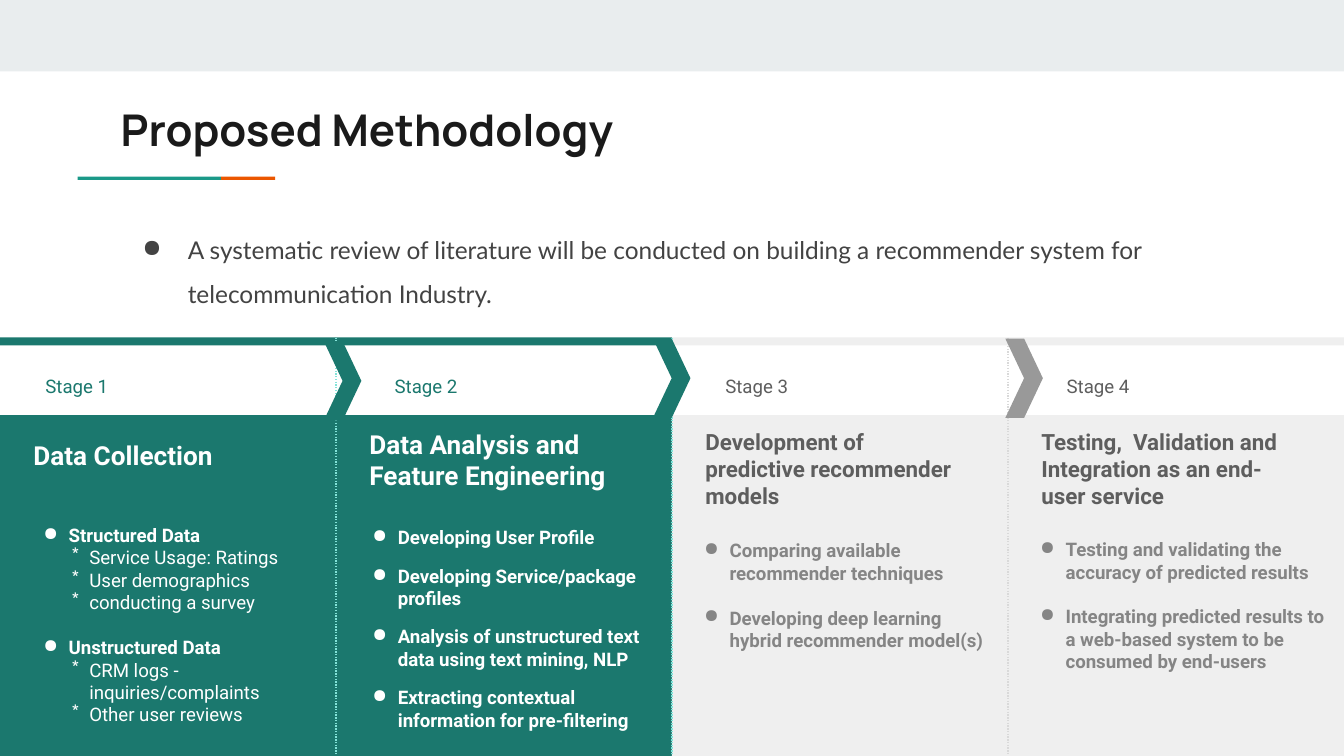
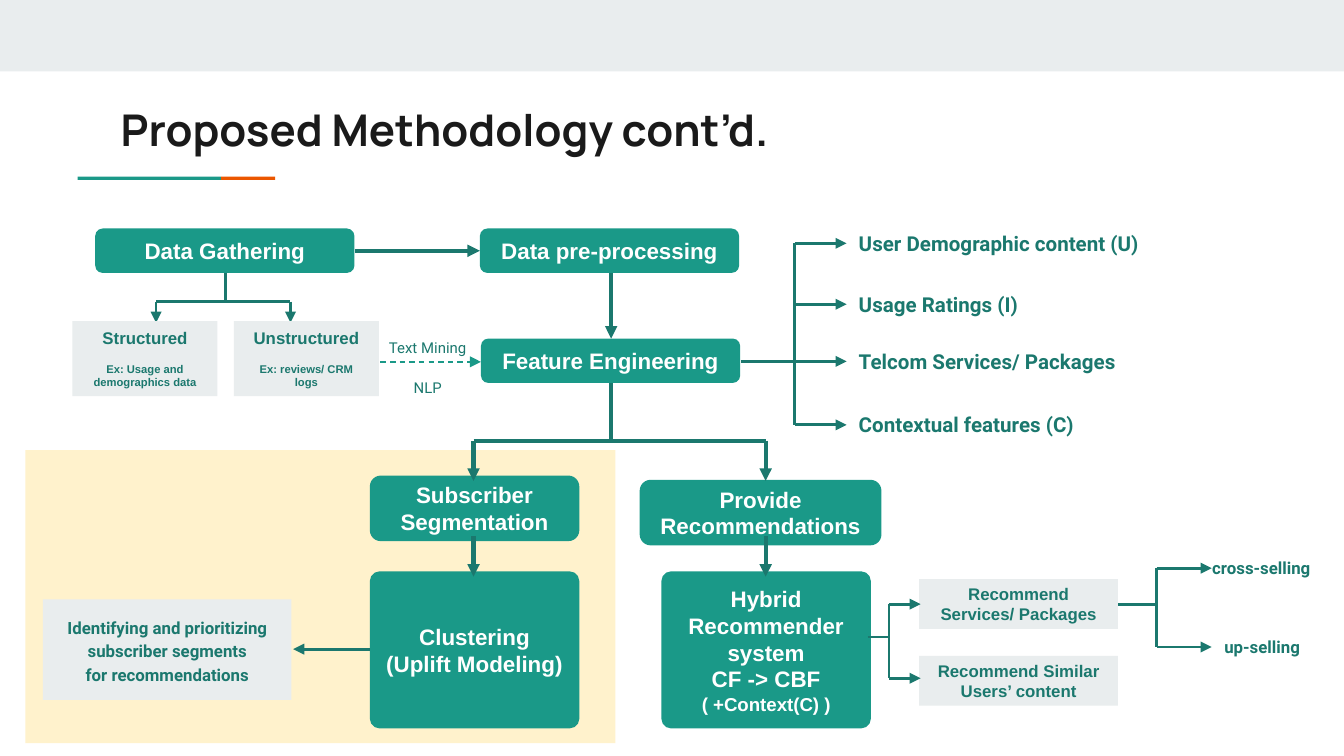
from dataclasses import dataclass, replace

from lxml.etree import SubElement
from pptx import Presentation
from pptx.dml.color import RGBColor
from pptx.enum.dml import MSO_LINE_DASH_STYLE as Dash
from pptx.enum.shapes import MSO_CONNECTOR_TYPE as Link
from pptx.enum.shapes import MSO_SHAPE as Preset
from pptx.enum.text import MSO_AUTO_SIZE as Fit
from pptx.enum.text import MSO_VERTICAL_ANCHOR as Anchor
from pptx.enum.text import PP_PARAGRAPH_ALIGNMENT as Align
from pptx.oxml.ns import qn
from pptx.util import Cm, Pt

WIDTH, HEIGHT = 25.4, 14.29
STAGE_WIDTH = WIDTH / 4
BAND, TEAL, ORANGE, DEEP = "E9EDEE", "1A9988", "EB5600", "1B786E"
WHITE, PALE, GREY, DARK_GREY, SOFT_GREY = "FFFFFF", "EFEFEF", "999999", "5E5E5E", "858585"
CREAM, MINT, RULE, INK, CHARCOAL = "FFF2CC", "83E3D9", "D9D9D9", "1A1A1A", "434343"


@dataclass(frozen=True)
class Style:
    font: str
    size: float
    color: str
    bold: bool = False
    align: Align = Align.LEFT
    spacing: float | None = None
    after: float = 0
    bullet: str = ""
    margin: float = 0
    hang: float = 0


TITLE = Style("Manrope", 23.4, INK, True)
BODY = Style("Lato", 13.1, CHARCOAL, spacing=1.5, bullet="●", margin=1.27, hang=0.86)
STAGE = Style("Roboto", 10, DEEP, spacing=1.15)
HEADING = Style("Roboto", 14, WHITE, True)
ITEM = Style("Roboto", 10, WHITE, True, bullet="●", margin=0.64, hang=0.48)
SUBITEM = replace(ITEM, bold=False, bullet="*", margin=1.03, hang=0.33)
SPACED_ITEM = replace(ITEM, after=8.5)
GREY_ITEM = replace(ITEM, color=SOFT_GREY, after=12)
NODE = Style("Arial", 12, WHITE, True, Align.CENTER)
SMALL_NODE = replace(NODE, size=10)
CARD = replace(NODE, size=9, color=DEEP)
CARD_HEAD = replace(CARD, after=7.5)
CARD_NOTE = replace(CARD, size=6)
FEATURE = Style("Roboto", 11, DEEP, True)
OUTCOME = replace(FEATURE, size=9)
FINDING = replace(OUTCOME, align=Align.CENTER, spacing=1.15)
FLOW_TEXT = Style("Roboto", 8, DEEP, align=Align.CENTER, after=12)


def rgb(value):
    return RGBColor.from_string(value)


def assign(target, values):
    for name, value in values.items():
        setattr(target, name, value)


def add_bullet(para, style):
    properties = para._p.get_or_add_pPr()
    properties.set("marL", str(Cm(style.margin)))
    properties.set("indent", str(-Cm(style.hang)))
    SubElement(properties, qn("a:buChar")).set("char", style.bullet)


def write(frame, lines, anchor):
    assign(frame, {"word_wrap": True, "auto_size": Fit.NONE, "vertical_anchor": anchor})
    assign(frame, {f"margin_{side}": Cm(0.25) for side in ("left", "right", "top", "bottom")})
    for number, (style, text) in enumerate(lines):
        para = frame.paragraphs[0] if number == 0 else frame.add_paragraph()
        after = style.after if number < len(lines) - 1 else 0
        assign(para, {"alignment": style.align, "line_spacing": style.spacing,
                      "space_after": Pt(after)})
        if style.bullet:
            add_bullet(para, style)
        span = para.add_run()
        span.text = text
        assign(span.font, {"name": style.font, "size": Pt(style.size), "bold": style.bold})
        span.font.color.rgb = rgb(style.color)


def add_label(page, at, *lines, anchor=Anchor.TOP):
    box = page.shapes.add_textbox(*map(Cm, at))
    write(box.text_frame, lines, anchor)


def add_block(page, at, fill, *lines, preset=Preset.RECTANGLE, bend=None):
    block = page.shapes.add_shape(preset, *map(Cm, at))
    block.shadow.inherit = False
    block.fill.solid()
    block.fill.fore_color.rgb = rgb(fill)
    block.line.fill.background()
    if bend is not None:
        block.adjustments[0] = bend
    if lines:
        write(block.text_frame, lines, Anchor.MIDDLE)


def add_node(page, at, *lines, bend=0.167):
    add_block(page, at, TEAL, *lines, preset=Preset.ROUNDED_RECTANGLE, bend=bend)


def add_line(page, start, end, color=DEEP, width=1.5, dash=None, arrow=False):
    line = page.shapes.add_connector(Link.STRAIGHT, *map(Cm, (*start, *end)))
    line.line.color.rgb = rgb(color)
    assign(line.line, {"width": Pt(width), "dash_style": dash})
    if arrow:
        SubElement(line.line._get_or_add_ln(), qn("a:tailEnd")).set("type", "triangle")
    SubElement(line._element.spPr, qn("a:effectLst"))


def add_fork(page, start, bend, branches, end, width=1.5, down=False):
    def draw(first, second, arrow=False):
        if down:
            first, second = first[::-1], second[::-1]
        add_line(page, first, second, width=width, arrow=arrow)

    draw(start, (bend, start[1]))
    draw((bend, min(branches)), (bend, max(branches)))
    for branch in branches:
        draw((bend, branch), (end, branch), True)


def add_page(deck, title):
    page = deck.slides.add_slide(deck.slide_layouts[5])
    add_block(page, (0, 0, WIDTH, 1.35), BAND)
    add_block(page, (1.47, 3.34, 2.71, 0.06), TEAL)
    add_block(page, (4.18, 3.34, 1.02, 0.06), ORANGE)
    holder = page.shapes.title
    assign(holder, {"left": Cm(2.03), "top": Cm(1.68), "width": Cm(21.36), "height": Cm(1.5)})
    write(holder.text_frame, [(TITLE, title)], Anchor.MIDDLE)
    return page


def add_stage(page, number, fill, color, label_left, heading, heading_style, heading_top=7.85):
    left = number * STAGE_WIDTH
    add_block(page, (left, 7.85, STAGE_WIDTH, HEIGHT - 7.85), fill)
    add_block(page, (left, 6.38, STAGE_WIDTH, 0.15), fill)
    add_label(page, (label_left, 6.78, 2.41, 0.71),
              (replace(STAGE, color=color), f"Stage {number + 1}"))
    add_label(page, (left + 0.38, heading_top, 5.16, 2.21), (heading_style, heading))


def build_stages(deck):
    page = add_page(deck, "Proposed Methodology")
    add_label(page, (2.03, 3.91, 22.33, 2.46),
              (BODY, "A systematic review of literature will be conducted on building "
                     "a recommender system for telecommunication Industry."))

    grey_heading = replace(HEADING, size=12, color=DARK_GREY)
    add_stage(page, 0, DEEP, DEEP, 0.61, "Data Collection", HEADING, 8.05)
    add_stage(page, 1, DEEP, DEEP, 7.21, "Data Analysis and Feature Engineering", HEADING)
    add_stage(page, 2, PALE, DARK_GREY, 13.46,
              "Development of predictive recommender models", grey_heading)
    add_stage(page, 3, PALE, DARK_GREY, 19.91,
              "Testing,  Validation and Integration as an end-user service", grey_heading)

    for number, color in enumerate((MINT, MINT, RULE), 1):
        x = number * STAGE_WIDTH
        add_line(page, (x, 6.38), (x, 14.25), color, 0.75, Dash.ROUND_DOT)
    for left, top, fill in ((6.12, 6.45, DEEP), (12.34, 6.4, DEEP), (19, 6.4, GREY)):
        add_block(page, (left, top, 0.71, 1.5), fill, preset=Preset.CHEVRON, bend=0.5)

    add_label(page, (0.41, 9.7, 5.38, 4.22),
              (ITEM, "Structured Data"),
              (SUBITEM, "Service Usage: Ratings"),
              (SUBITEM, "User demographics"),
              (replace(SUBITEM, after=12), "conducting a survey"),
              (ITEM, "Unstructured Data"),
              (SUBITEM, "CRM logs - inquiries/complaints"),
              (SUBITEM, "Other user reviews"), anchor=Anchor.MIDDLE)
    add_label(page, (6.63, 9.86, 5.99, 4.04),
              (SPACED_ITEM, "Developing User Profile"),
              (SPACED_ITEM, "Developing Service/package profiles"),
              (SPACED_ITEM, "Analysis of unstructured text data using text mining, NLP"),
              (SPACED_ITEM, "Extracting contextual information for pre-filtering"),
              anchor=Anchor.MIDDLE)
    add_label(page, (12.9, 9.63, 6.15, 3.24),
              (GREY_ITEM, "Comparing available recommender techniques"),
              (GREY_ITEM, "Developing deep learning hybrid recommender model(s)"),
              anchor=Anchor.MIDDLE)
    add_label(page, (19.25, 9.42, 6.15, 4.04),
              (GREY_ITEM, "Testing and validating the accuracy of predicted results"),
              (GREY_ITEM, "Integrating predicted results to a web-based system "
                          "to be consumed by end-users"), anchor=Anchor.MIDDLE)


def build_flow(deck):
    page = add_page(deck, "Proposed Methodology cont’d.")
    add_block(page, (0.48, 8.51, 11.15, 5.54), CREAM)

    for left, top, text in ((1.8, 4.32, "Data Gathering"), (9.07, 4.32, "Data pre-processing"),
                            (9.09, 6.4, "Feature Engineering")):
        add_node(page, (left, top, 4.9, 0.84), (NODE, text))
    add_fork(page, (5.16, 4.27), 5.7, (2.95, 5.49), 6.1, down=True)
    for left, head, note in ((1.37, "Structured", "Ex: Usage and demographics data"),
                             (4.42, "Unstructured", "Ex: reviews/ CRM logs")):
        add_block(page, (left, 6.07, 2.74, 1.42), BAND, (CARD_HEAD, head), (CARD_NOTE, note))
    add_line(page, (6.7, 4.74), (9.07, 4.74), width=2.25, arrow=True)
    add_line(page, (11.55, 5.16), (11.55, 6.4), width=2.25, arrow=True)
    add_line(page, (7.19, 6.84), (9.09, 6.84), TEAL, 0.75, Dash.DASH, True)
    add_label(page, (6.65, 6.2, 2.87, 1.5), (FLOW_TEXT, "Text Mining"), (FLOW_TEXT, "NLP"),
              anchor=Anchor.MIDDLE)

    features = {"User Demographic content (U)": 4.6, "Usage Ratings (I)": 5.75,
                "Telcom Services/ Packages": 6.83, "Contextual features (C)": 8.03}
    add_fork(page, (14, 6.83), 15.02, features.values(), 16)
    for text, y in features.items():
        add_label(page, (15.98, y - 0.42, 6.02, 0.84), (FEATURE, text), anchor=Anchor.MIDDLE)

    add_node(page, (6.99, 8.99, 3.96, 1.24), (NODE, "Subscriber Segmentation"))
    add_node(page, (12.09, 9.07, 4.57, 1.24), (NODE, "Provide Recommendations"))
    add_node(page, (6.99, 10.8, 3.96, 2.97), (NODE, "Clustering"), (NODE, "(Uplift Modeling)"),
             bend=0.062)
    add_node(page, (12.5, 10.8, 3.96, 2.97), (NODE, "Hybrid Recommender system"),
             (NODE, "CF -> CBF"), (SMALL_NODE, "( +Context(C) )"), bend=0.062)
    tracks = (8.95, 14.47)
    add_fork(page, (7.24, 11.55), 8.33, tracks, 9.09, 2.25, True)
    for x in tracks:
        add_line(page, (x, 10.13), (x, 10.9), width=2.25, arrow=True)

    add_block(page, (0.81, 11.33, 4.7, 1.9), BAND,
              (FINDING, "Identifying and prioritizing subscriber segments"),
              (FINDING, "for recommendations"))
    add_line(page, (6.99, 12.27), (5.54, 12.27), arrow=True)
    for top, text in ((10.95, "Recommend Services/ Packages"),
                      (12.4, "Recommend Similar Users’ content")):
        add_block(page, (17.37, top, 3.76, 0.94), BAND, (CARD, text))
    add_fork(page, (16.4, 12.04), 16.8, (11.42, 12.82), 17.4)
    add_fork(page, (21.13, 11.42), 21.86, (10.74, 12.23), 22.9)
    for left, top, text in ((22.66, 10.39, "cross-selling"), (22.89, 11.89, "up-selling")):
        add_label(page, (left, top, 2.5, 0.69), (OUTCOME, text), anchor=Anchor.MIDDLE)


def main():
    deck = Presentation()
    assign(deck, {"slide_width": Cm(WIDTH), "slide_height": Cm(HEIGHT)})
    build_stages(deck)
    build_flow(deck)
    deck.save("out.pptx")


if __name__ == "__main__":
    main()
